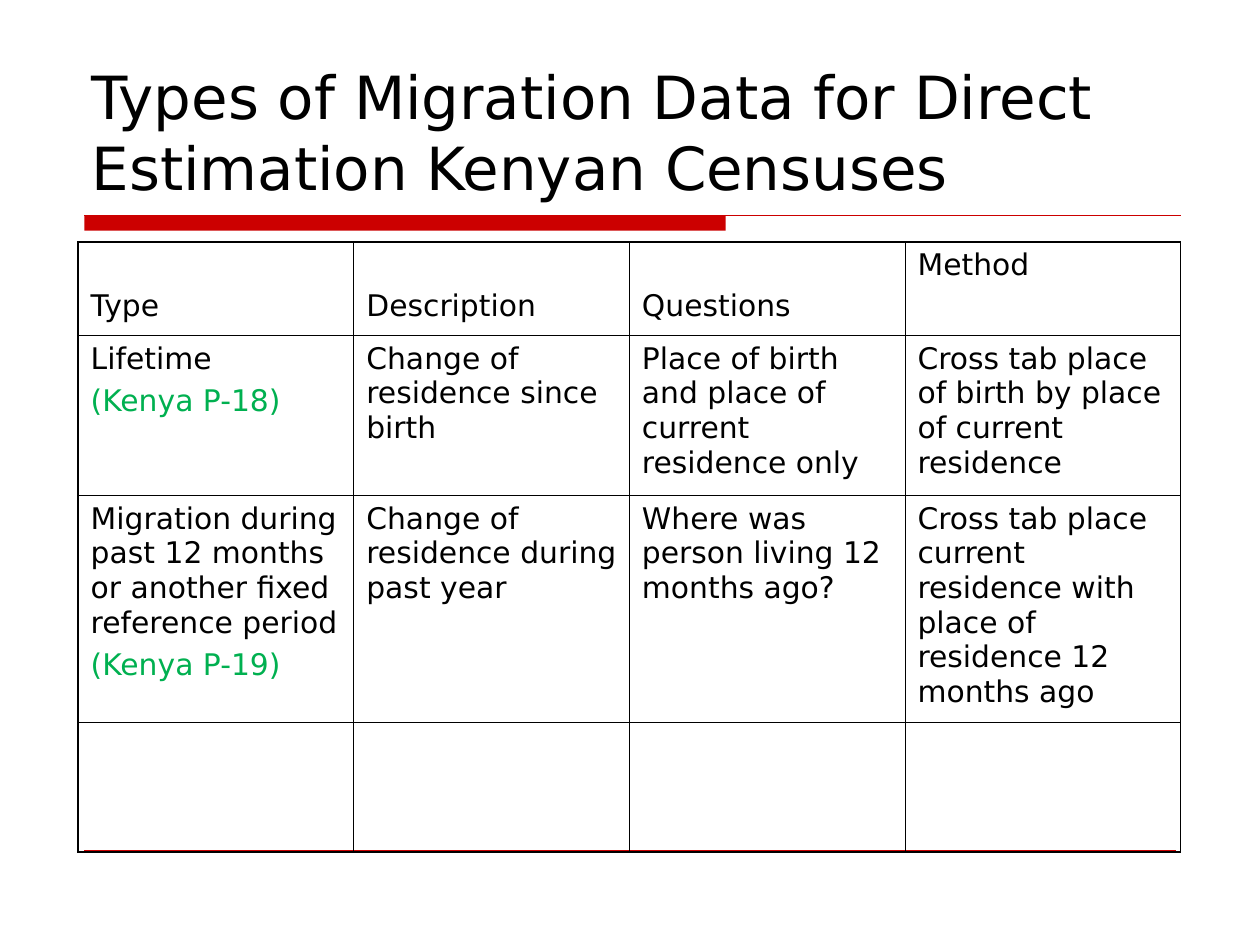
import lxml.etree
import pptx
import pptx.dml.color
import pptx.enum.shapes
import pptx.enum.text
import pptx.oxml.ns
import pptx.util

Inches = pptx.util.Inches
Pt = pptx.util.Pt
Anchor = pptx.enum.text.MSO_ANCHOR

THEME = {
    "font": "DejaVu Sans", "title_size": 34, "body_size": 17,
    "text": "000000", "note": "00B050", "accent": "CC0000", "border": "000000",
    "outer_border": 1.08, "inner_border": 0.45, "space_before": 4.2,
}

TITLE = "Types of Migration Data for Direct Estimation Kenyan Censuses"
HEADERS = ["Type", "Description", "Questions", "Method"]
# Each cell is a list of paragraphs; a second paragraph is a census reference.
ROWS = [
    [[header] for header in HEADERS],
    [["Lifetime", "(Kenya P-18)"],
     ["Change of residence since birth"],
     ["Place of birth and place of current residence only"],
     ["Cross tab place of birth by place of current residence"]],
    [["Migration during past 12 months or another fixed reference period", "(Kenya P-19)"],
     ["Change of residence during past year"],
     ["Where was person living 12 months ago?"],
     ["Cross tab place current residence with place of residence 12 months ago"]],
    [[], [], [], []],
]
TABLE_LEFT, TABLE_TOP, TABLE_WIDTH = 0.62, 1.92, 8.75
ROW_HEIGHTS = [0.74, 1.27, 1.8, 1.03]
RULE_LEFT, RULE_TOP = 0.67, 1.71


def color(name):
    return pptx.dml.color.RGBColor.from_string(THEME[name])


def write(paragraph, text, size="body_size", fill="text", space_before=0):
    paragraph.space_before = Pt(space_before)
    run = paragraph.add_run()
    run.text = text
    run.font.name = THEME["font"]
    run.font.size = Pt(THEME[size])
    run.font.color.rgb = color(fill)


def add_rule(slide, top, right, weight):
    rule = slide.shapes.add_connector(
        pptx.enum.shapes.MSO_CONNECTOR.STRAIGHT,
        Inches(RULE_LEFT), Inches(top), Inches(right), Inches(top))
    rule.line.color.rgb = color("accent")
    rule.line.width = Pt(weight)
    lxml.etree.SubElement(rule.element.spPr, pptx.oxml.ns.qn("a:effectLst"))


def add_bar(slide):
    bar = slide.shapes.add_shape(
        pptx.enum.shapes.MSO_SHAPE.RECTANGLE,
        Inches(RULE_LEFT), Inches(RULE_TOP), Inches(5.09), Inches(0.12))
    bar.shadow.inherit = False
    bar.fill.solid()
    bar.fill.fore_color.rgb = color("accent")
    bar.line.fill.background()


def add_title(slide):
    box = slide.shapes.add_textbox(Inches(0.63), Inches(0.33), Inches(8.75), Inches(1.33))
    box.text_frame.word_wrap = True
    box.text_frame.vertical_anchor = Anchor.BOTTOM
    write(box.text_frame.paragraphs[0], TITLE, size="title_size")


def set_borders(cell, outer_sides):
    """Draw all four sides, heavier on those at the edge of the table."""
    properties = cell._tc.get_or_add_tcPr()
    for index, side in enumerate(("L", "R", "T", "B")):
        weight = THEME["outer_border" if side in outer_sides else "inner_border"]
        line = lxml.etree.Element(
            pptx.oxml.ns.qn(f"a:ln{side}"), w=str(int(Pt(weight))))
        fill = lxml.etree.SubElement(line, pptx.oxml.ns.qn("a:solidFill"))
        lxml.etree.SubElement(fill, pptx.oxml.ns.qn("a:srgbClr"), val=THEME["border"])
        properties.insert(index, line)


def fill_cell(cell, texts):
    cell.fill.background()
    for index, text in enumerate(texts):
        frame = cell.text_frame
        paragraph = frame.add_paragraph() if index else frame.paragraphs[0]
        write(paragraph, text, fill="note" if index else "text",
              space_before=THEME["space_before"])


def add_table(slide):
    last_row, last_column = len(ROWS) - 1, len(HEADERS) - 1
    table = slide.shapes.add_table(
        len(ROWS), len(HEADERS), Inches(TABLE_LEFT), Inches(TABLE_TOP),
        Inches(TABLE_WIDTH), Inches(sum(ROW_HEIGHTS))).table
    table.first_row = table.horz_banding = False
    for column in table.columns:
        column.width = Inches(TABLE_WIDTH / len(HEADERS))
    for row_index, (row, height) in enumerate(zip(ROWS, ROW_HEIGHTS)):
        table.rows[row_index].height = Inches(height)
        for column_index, texts in enumerate(row):
            cell = table.cell(row_index, column_index)
            fill_cell(cell, texts)
            edges = {"L": column_index == 0, "R": column_index == last_column,
                     "T": row_index == 0, "B": row_index == last_row}
            set_borders(cell, [side for side, outer in edges.items() if outer])
    for column_index in range(last_column):
        header = table.cell(0, column_index)
        header.vertical_anchor = Anchor.BOTTOM
        header.margin_bottom = Inches(0.09)


def main():
    presentation = pptx.Presentation()
    presentation.slide_width, presentation.slide_height = Inches(10), Inches(7.5)
    slide = presentation.slides.add_slide(presentation.slide_layouts[6])
    add_bar(slide)
    add_rule(slide, RULE_TOP, right=9.37, weight=0.75)
    add_rule(slide, 6.75, right=9.33, weight=0.25)
    add_title(slide)
    add_table(slide)
    presentation.save("out.pptx")


if __name__ == "__main__":
    main()
